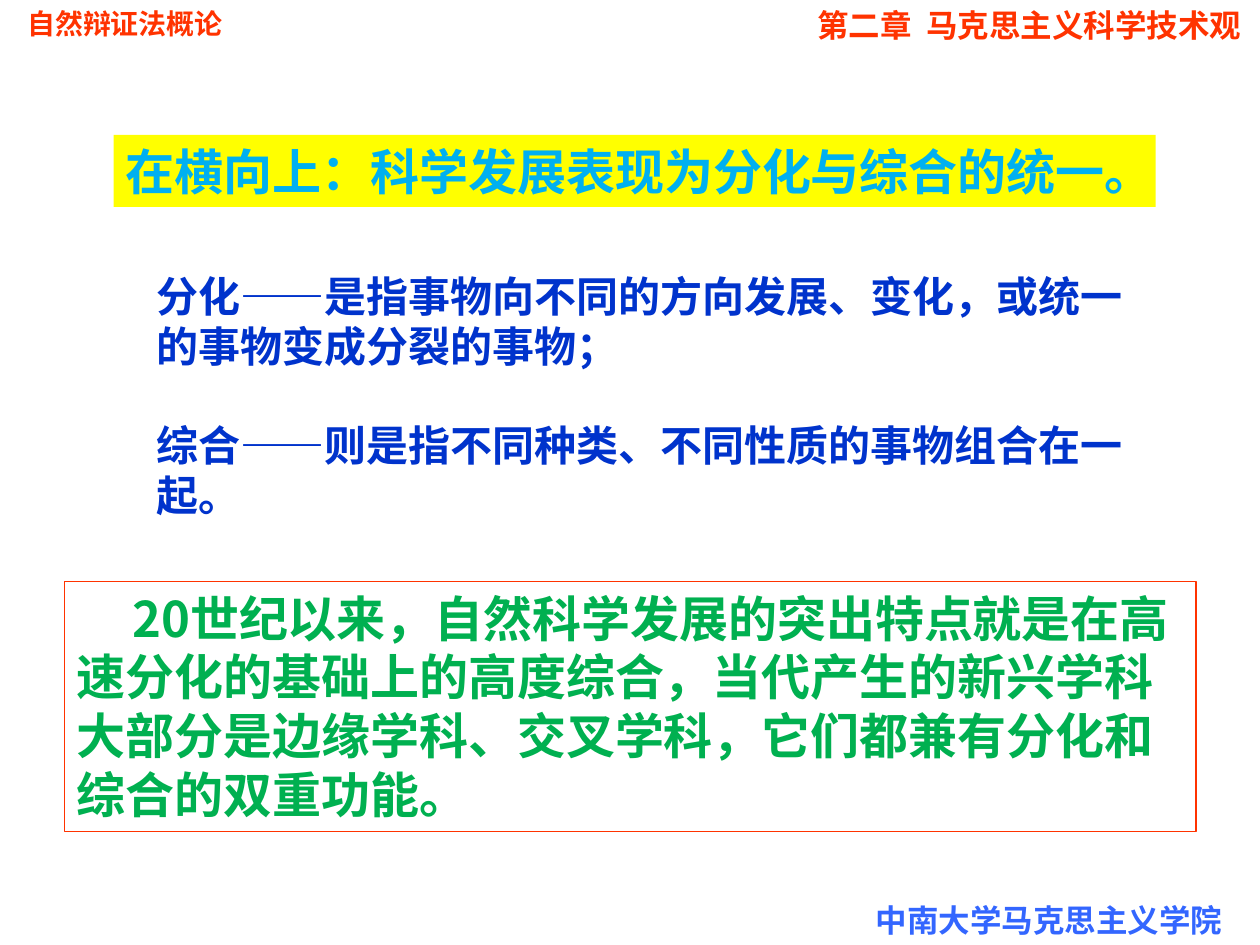
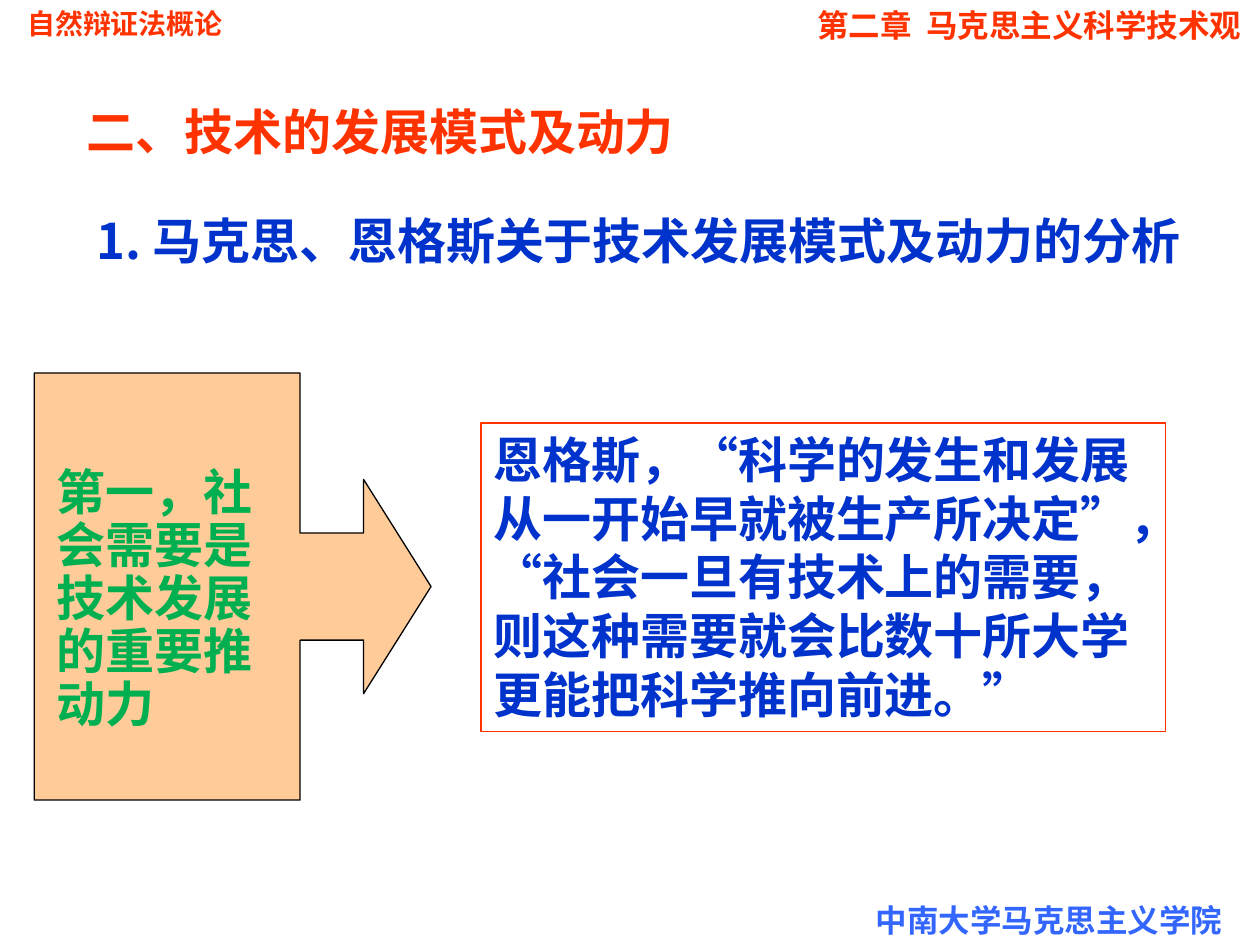
from lxml.etree import SubElement
from pptx import Presentation
from pptx.dml.color import RGBColor
from pptx.enum.lang import MSO_LANGUAGE_ID
from pptx.enum.shapes import MSO_SHAPE
from pptx.enum.text import MSO_ANCHOR, PP_ALIGN
from pptx.oxml.ns import qn
from pptx.util import Cm, Pt

RED = RGBColor(0xFF, 0x33, 0x00)
BLUE = RGBColor(0x00, 0x33, 0xCC)
PALE = RGBColor(0x33, 0x66, 0xFF)
SKY = RGBColor(0x00, 0xB0, 0xF0)
GREEN = RGBColor(0x00, 0xB0, 0x50)
YELLOW = RGBColor(0xFF, 0xFF, 0x00)
PEACH = RGBColor(0xFF, 0xCC, 0x99)
BLACK = RGBColor(0, 0, 0)
LATIN = "Arial"
HAN = "Noto Sans CJK SC"


def paint(shape, fill=None, line=None):
    """Give a shape a flat fill and a thin line, or neither."""
    shape.shadow.inherit = False
    if fill is None:
        shape.fill.background()
    else:
        shape.fill.solid()
        shape.fill.fore_color.rgb = fill
    if line is None:
        shape.line.fill.background()
    else:
        shape.line.color.rgb = line
        shape.line.width = Pt(0.75)


def write(shape, words, color, size=28, face=LATIN, indent=0, **form):
    """Set bold wrapped text, with paragraph formats given by name."""
    frame = shape.text_frame
    frame.word_wrap = True
    frame.vertical_anchor = MSO_ANCHOR.TOP
    para = frame.paragraphs[0]
    for key, value in {"alignment": PP_ALIGN.LEFT, **form}.items():
        setattr(para, key, value)
    if indent:
        para._p.get_or_add_pPr().set("indent", str(Cm(indent)))
    run = para.add_run()
    run.text = words
    style = {"name": face, "size": Pt(size), "bold": True,
             "language_id": MSO_LANGUAGE_ID.SIMPLIFIED_CHINESE}
    for key, value in style.items():
        setattr(run.font, key, value)
    run.font.color.rgb = color
    SubElement(run._r.get_or_add_rPr(), qn("a:ea"), typeface=HAN)


def label(slide, box, words, color, **form):
    """Add a plain text box."""
    write(slide.shapes.add_textbox(*map(Cm, box)), words, color, **form)


def panel(slide, box, words, color, fill=None, line=None, **form):
    """Add a rectangle that holds text."""
    shape = slide.shapes.add_shape(MSO_SHAPE.RECTANGLE, *map(Cm, box))
    paint(shape, fill, line)
    write(shape, words, color, **form)


def callout(slide, box, words):
    """Add an arrow callout with its text over the body."""
    left, top, width, height = box
    shape = slide.shapes.add_shape(MSO_SHAPE.RIGHT_ARROW_CALLOUT, *map(Cm, box))
    for index, value in enumerate((0.27, 0.27, 0.17, 0.67)):
        shape.adjustments[index] = value
    paint(shape, PEACH, BLACK)
    inner = (left + 0.2, top + 1.8, width * 0.575, height * 0.65)
    label(slide, inner, words, GREEN, line_spacing=0.9)


def base(deck):
    """Add a blank slide with the running heads and footer."""
    slide = deck.slides.add_slide(deck.slide_layouts[6])
    label(slide, (0.3, 0, 9.6, 0.94), "自然辩证法概论", RED, size=16)
    label(slide, (17.4, 18.03, 8, 1.02), "中南大学马克思主义学院", PALE, size=18)
    label(slide, (16.1, 0, 9.3, 1.02), "第二章  马克思主义科学技术观", RED,
          size=18, alignment=PP_ALIGN.CENTER)
    return slide


def unity(deck):
    """Build the slide on division and synthesis."""
    slide = base(deck)
    panel(slide, (2.29, 2.72, 21.01, 1.45),
          "在横向上：科学发展表现为分化与综合的统一。", SKY, fill=YELLOW)
    terms = ("分化——是指事物向不同的方向发展、变化，或统一的事物变成分裂的事物；",
             "综合——则是指不同种类、不同性质的事物组合在一起。")
    for row, words in enumerate(terms):
        label(slide, (2.9, 5.33 + 3 * row, 20.1, 2.29), words, BLUE, size=24)
    panel(slide, (1.3, 11.73, 22.81, 5.03),
          "20世纪以来，自然科学发展的突出特点就是在高速分化的基础上的高度综合，"
          "当代产生的新兴学科大部分是边缘学科、交叉学科，"
          "它们都兼有分化和综合的双重功能。",
          GREEN, line=RED, face=HAN, indent=1.12)


def drive(deck):
    """Build the slide on what drives technology."""
    slide = base(deck)
    label(slide, (1.5, 1.93, 21.6, 1.45), "二、技术的发展模式及动力", RED)
    label(slide, (1.7, 4.11, 23.7, 1.45),
          "1. 马克思、恩格斯关于技术发展模式及动力的分析", BLUE, face=HAN)
    callout(slide, (0.69, 7.52, 8, 8.61), "第一，社会需要是技术发展的重要推动力")
    panel(slide, (9.7, 8.53, 13.79, 6.22),
          "恩格斯，“科学的发生和发展从一开始早就被生产所决定”，"
          "“社会一旦有技术上的需要，则这种需要就会比数十所大学更能把科学推向前进。”",
          BLUE, line=RED)


def main():
    """Build and save the deck."""
    deck = Presentation()
    deck.slide_width, deck.slide_height = Cm(25.4), Cm(19.05)
    unity(deck)
    drive(deck)
    deck.save("out.pptx")


if __name__ == "__main__":
    main()
